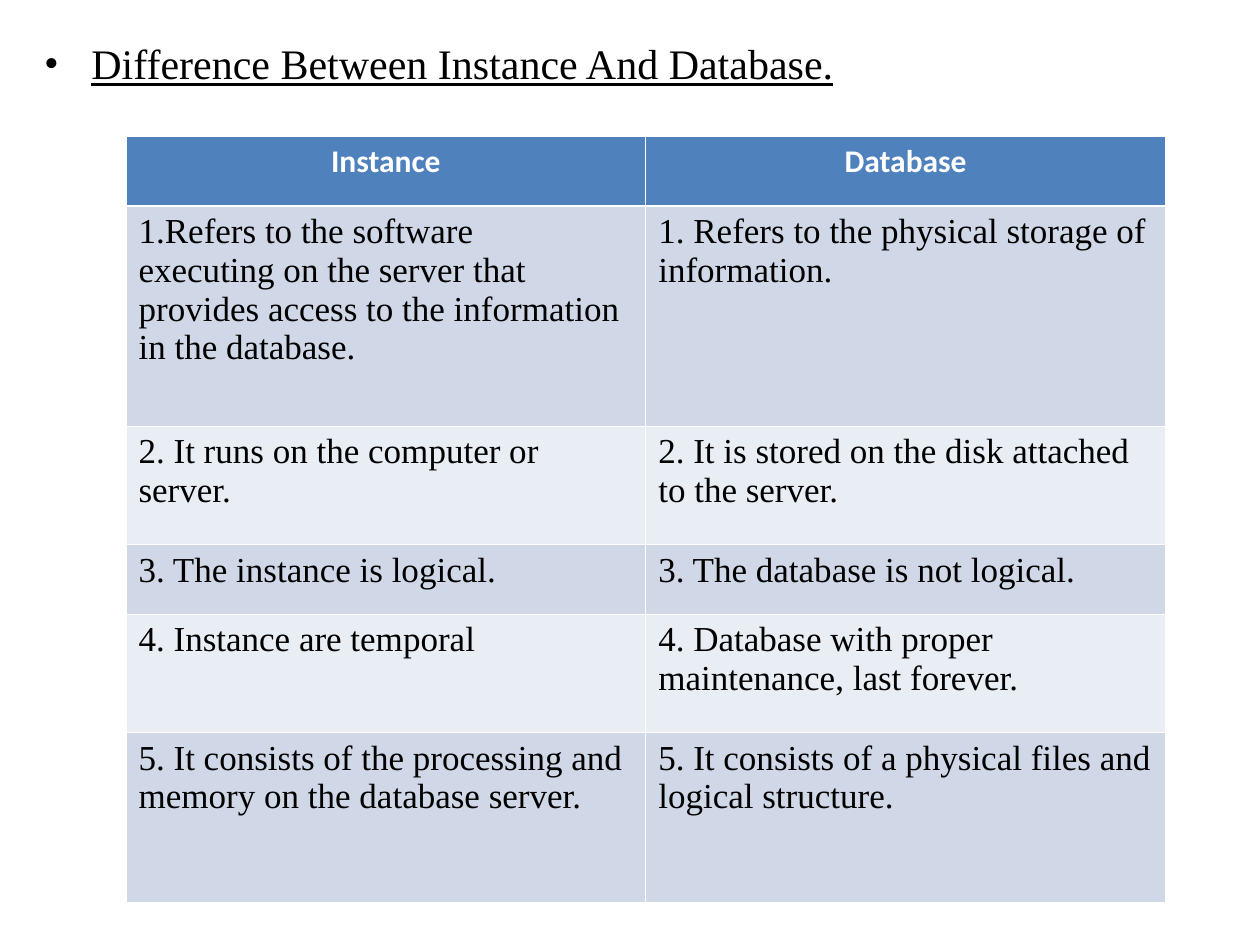
from lxml.etree import SubElement
from pptx import Presentation
from pptx.dml.color import RGBColor
from pptx.enum.text import MSO_ANCHOR, MSO_AUTO_SIZE, PP_ALIGN
from pptx.oxml.ns import qn
from pptx.util import Pt

# Content
TITLE = "Difference Between Instance And Database."
HEADERS = ("Instance", "Database")
ROWS = [  # "\n" marks a line break
    ("1.Refers to the software\nexecuting on the server that provides access "
     "to the information in the database.",
     "1. Refers to the physical storage of information."),
    ("2. It runs on the computer or server.",
     "2. It is stored on the disk attached to the server."),
    ("3. The instance is logical.", "3. The database is not logical."),
    ("4. Instance are temporal",
     "4. Database with proper maintenance, last forever."),
    ("5. It consists of the processing and memory on the database server.",
     "5. It consists of a physical files and logical structure."),
]

# Style
BLACK = RGBColor(0x00, 0x00, 0x00)
WHITE = RGBColor(0xFF, 0xFF, 0xFF)
BLUE = RGBColor(0x4F, 0x81, 0xBD)
BANDS = (RGBColor(0xD0, 0xD8, 0xE8), RGBColor(0xE9, 0xED, 0xF4))
SERIF, SANS = "Times New Roman", "Calibri"
ROW_HEIGHTS = (39.6, 126, 67.7, 39.6, 67.7, 97.2)
COL_WIDTH = 297
THIN, THICK = 0.45, 1.47
BULLET_INDENT = 27


def add_text(p, text, size, font, color, bold=False, underline=False):
    for i, line in enumerate(text.split("\n")):
        if i:
            p.add_line_break()
        r = p.add_run()
        r.text = line
        f = r.font
        f.size, f.name, f.bold, f.underline = Pt(size), font, bold, underline
        f.color.rgb = color


def set_bullet(p, indent):
    pPr = p._p.get_or_add_pPr()
    pPr.set("marL", str(Pt(indent)))
    pPr.set("indent", str(-Pt(indent)))
    clr = SubElement(pPr, qn("a:buClr"))
    SubElement(clr, qn("a:srgbClr"), val=str(BLACK))
    SubElement(pPr, qn("a:buFont"), typeface=SERIF)
    SubElement(pPr, qn("a:buChar"), char="•")


def set_borders(cell, top, bottom):
    widths = {"a:lnL": THIN, "a:lnR": THIN, "a:lnT": top, "a:lnB": bottom}
    tcPr = cell._tc.get_or_add_tcPr()
    for tag, width in widths.items():
        ln = SubElement(tcPr, qn(tag), w=str(Pt(width)))
        fill = SubElement(ln, qn("a:solidFill"))
        SubElement(fill, qn("a:srgbClr"), val=str(WHITE))


prs = Presentation()
prs.slide_width, prs.slide_height = Pt(720), Pt(540)
s = prs.slides.add_slide(prs.slide_layouts[5])

# Bulleted title
sp = s.shapes.title
sp.left, sp.top, sp.width, sp.height = Pt(18), Pt(18), Pt(666), Pt(504)
tf = sp.text_frame
tf.word_wrap = True
tf.auto_size = MSO_AUTO_SIZE.NONE
tf.vertical_anchor = MSO_ANCHOR.TOP
p = tf.paragraphs[0]
p.alignment = PP_ALIGN.LEFT
set_bullet(p, BULLET_INDENT)
add_text(p, TITLE, 24, SERIF, BLACK, underline=True)

# Comparison table
table = s.shapes.add_table(len(ROW_HEIGHTS), len(HEADERS), Pt(72), Pt(78),
                           Pt(COL_WIDTH * len(HEADERS)),
                           Pt(sum(ROW_HEIGHTS))).table
for col in table.columns:
    col.width = Pt(COL_WIDTH)
for i, texts in enumerate([HEADERS] + ROWS):
    table.rows[i].height = Pt(ROW_HEIGHTS[i])
    for j, text in enumerate(texts):
        cell = table.cell(i, j)
        set_borders(cell, THICK if i == 1 else THIN, THICK if i == 0 else THIN)
        cell.fill.solid()
        cell.fill.fore_color.rgb = BANDS[(i - 1) % 2] if i else BLUE
        p = cell.text_frame.paragraphs[0]
        if i == 0:
            p.alignment = PP_ALIGN.CENTER
            add_text(p, text, 18, SANS, WHITE, bold=True)
        else:
            add_text(p, text, 20, SERIF, BLACK)

prs.save("out.pptx")
